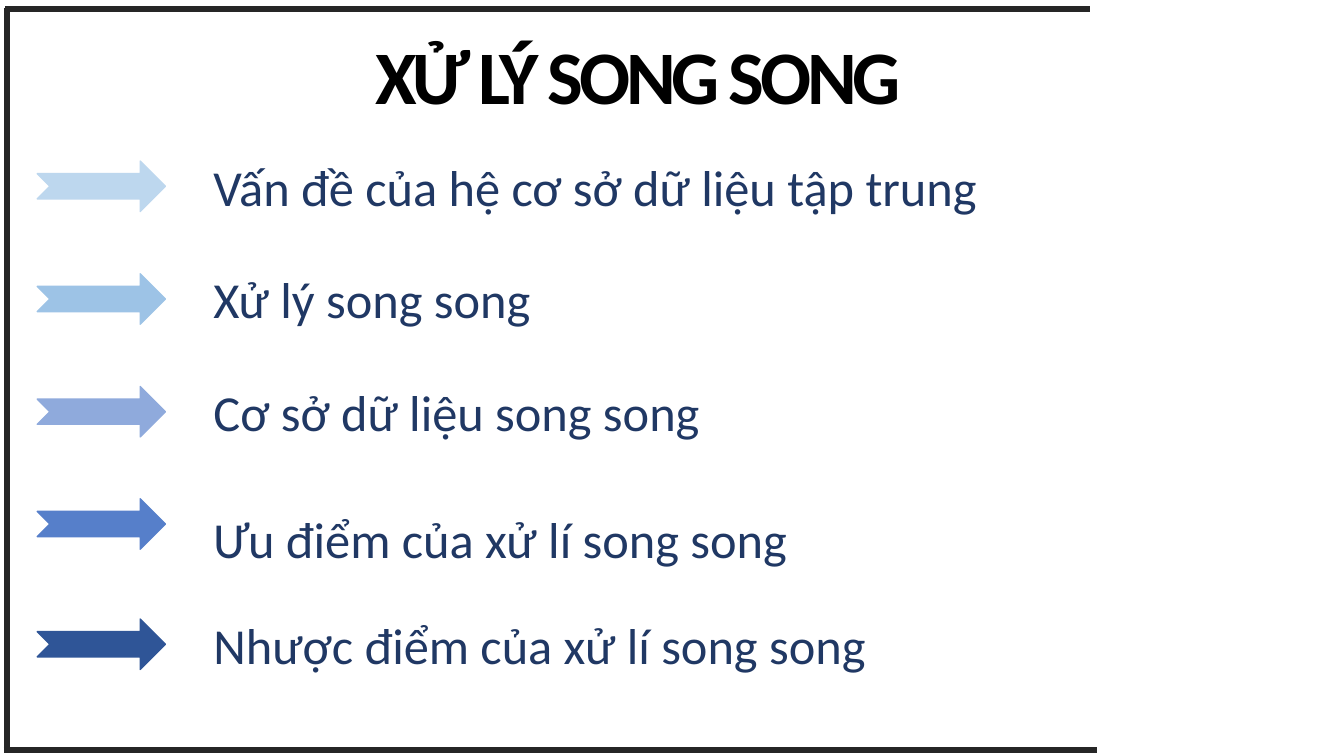
from dataclasses import dataclass

from pptx import Presentation
from pptx.dml.color import RGBColor
from pptx.enum.shapes import MSO_CONNECTOR, MSO_SHAPE
from pptx.enum.text import MSO_ANCHOR, MSO_AUTO_SIZE, PP_ALIGN
from pptx.oxml.ns import qn
from pptx.util import Cm, Pt

ARROW = MSO_SHAPE.NOTCHED_RIGHT_ARROW
STRAIGHT = MSO_CONNECTOR.STRAIGHT
MIDDLE, TOP = MSO_ANCHOR.MIDDLE, MSO_ANCHOR.TOP
LEFT = PP_ALIGN.LEFT
NO_FIT, GROW = MSO_AUTO_SIZE.NONE, MSO_AUTO_SIZE.SHAPE_TO_FIT_TEXT


@dataclass(frozen=True)
class Theme:
    font: str = "Calibri"
    title: str = "000000"
    text: str = "203864"
    frame: str = "262626"
    title_size: float = 54
    text_size: float = 36
    frame_width: float = 4.5
    title_spacing: int = -300


class Deck:
    def __init__(self, theme):
        self.theme = theme
        self.prs = Presentation()
        self.prs.slide_width, self.prs.slide_height = Cm(33.87), Cm(19.05)
        self.slide = self.prs.slides.add_slide(self.prs.slide_layouts[5])

    def fill_text(self, shape, text, size, color, anchor, fit, bold=False):
        frame = shape.text_frame
        frame.text = text
        frame.word_wrap = True
        frame.auto_size = fit
        frame.vertical_anchor = anchor
        line = frame.paragraphs[0]
        line.alignment = LEFT
        run = line.runs[0]
        run.font.name = self.theme.font
        run.font.size = Pt(size)
        run.font.bold = bold
        run.font.color.rgb = RGBColor.from_string(color)
        return run

    def title(self, text, x, y, w, h):
        shape = self.slide.shapes.title
        shape.left, shape.top, shape.width, shape.height = map(Cm, (x, y, w, h))
        run = self.fill_text(shape, text, self.theme.title_size,
                             self.theme.title, MIDDLE, NO_FIT, bold=True)
        run._r.get_or_add_rPr().set("spc", str(self.theme.title_spacing))

    def label(self, text, x, y, w, h):
        box = self.slide.shapes.add_textbox(*map(Cm, (x, y, w, h)))
        self.fill_text(box, text, self.theme.text_size, self.theme.text,
                       TOP, GROW)

    def arrow(self, color, x, y, w, h):
        shape = self.slide.shapes.add_shape(ARROW, *map(Cm, (x, y, w, h)))
        shape.shadow.inherit = False
        shape.fill.solid()
        shape.fill.fore_color.rgb = RGBColor.from_string(color)
        shape.line.color.rgb = RGBColor.from_string(color)
        shape.line.width = Pt(1)

    def edge(self, x1, y1, x2, y2):
        """Draw one side of the slide's frame."""
        line = self.slide.shapes.add_connector(
            STRAIGHT, *map(Cm, (x1, y1, x2, y2)))
        line.line.color.rgb = RGBColor.from_string(self.theme.frame)
        line.line.width = Pt(self.theme.frame_width)
        props = line._element.spPr
        props.append(props.makeelement(qn("a:effectLst"), {}))


# Wording, arrow colour, arrow top, label top, label width
TOPICS = [
    ("Vấn đề của hệ cơ sở dữ liệu tập trung", "BDD7EE", 4.06, 3.81, 25.6),
    ("Xử lý song song", "9DC3E6", 6.9, 6.64, 14.07),
    ("Cơ sở dữ liệu song song", "8FAADC", 9.74, 9.47, 24.16),
    ("Ưu điểm của xử lí song song", "567FCA", 12.57, 12.67, 24.16),
    ("Nhược điểm của xử lí song song", "2F5597", 15.6, 15.34, 24.16),
]
EDGES = [
    (0.13, 0.23, 27.48, 0.23),
    (0.1, 18.9, 27.64, 18.9),
    (0.18, 0.2, 0.18, 18.95),
]


def main():
    deck = Deck(Theme())
    deck.title("XỬ LÝ SONG SONG", 9.2, 0.58, 15.47, 2.57)
    for text, color, arrow_top, label_top, width in TOPICS:
        deck.arrow(color, 0.94, arrow_top, 3.23, 1.27)
        deck.label(text, 5.13, label_top, width, 1.8)
    for edge in EDGES:
        deck.edge(*edge)
    deck.prs.save("out.pptx")


if __name__ == "__main__":
    main()
